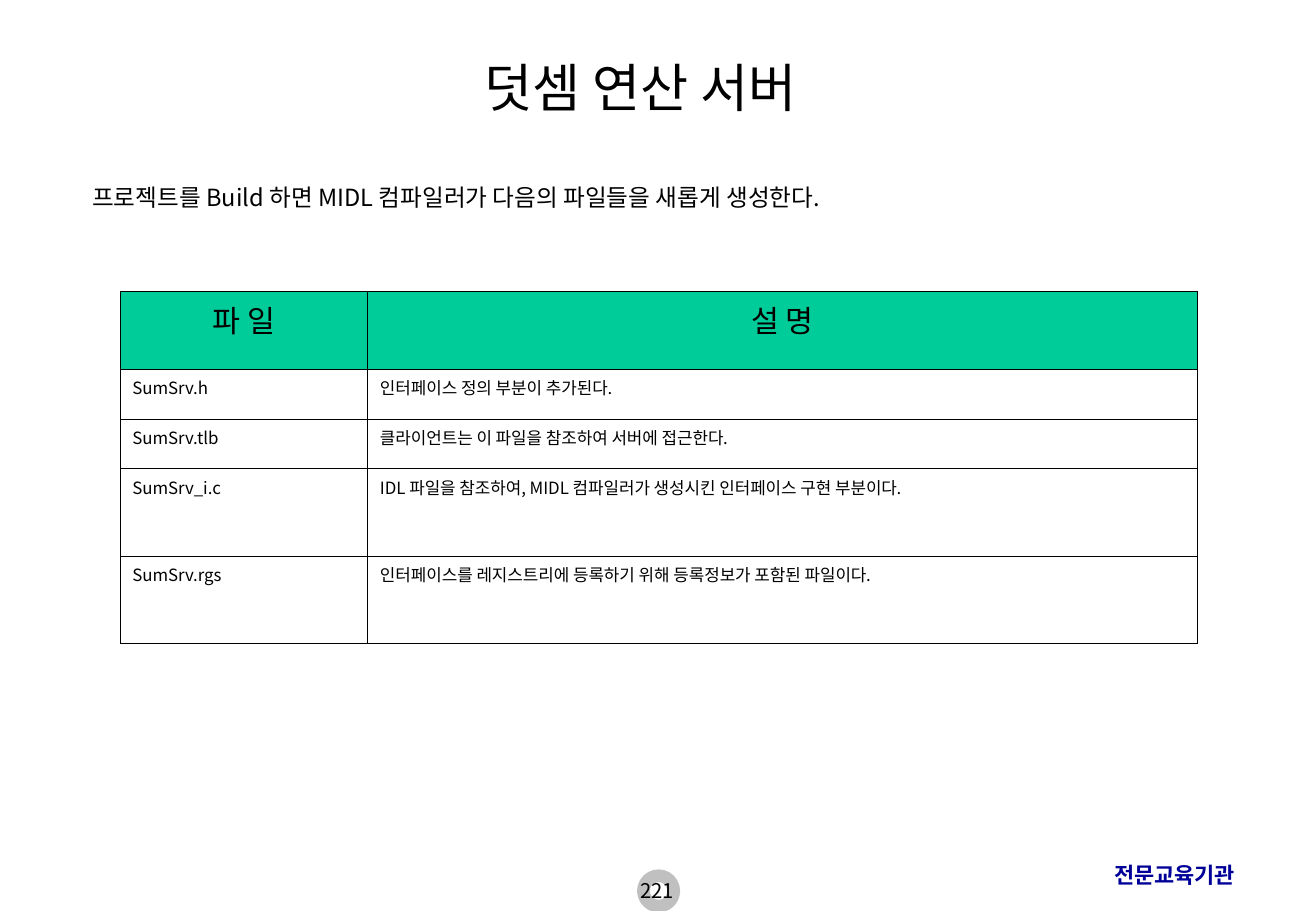
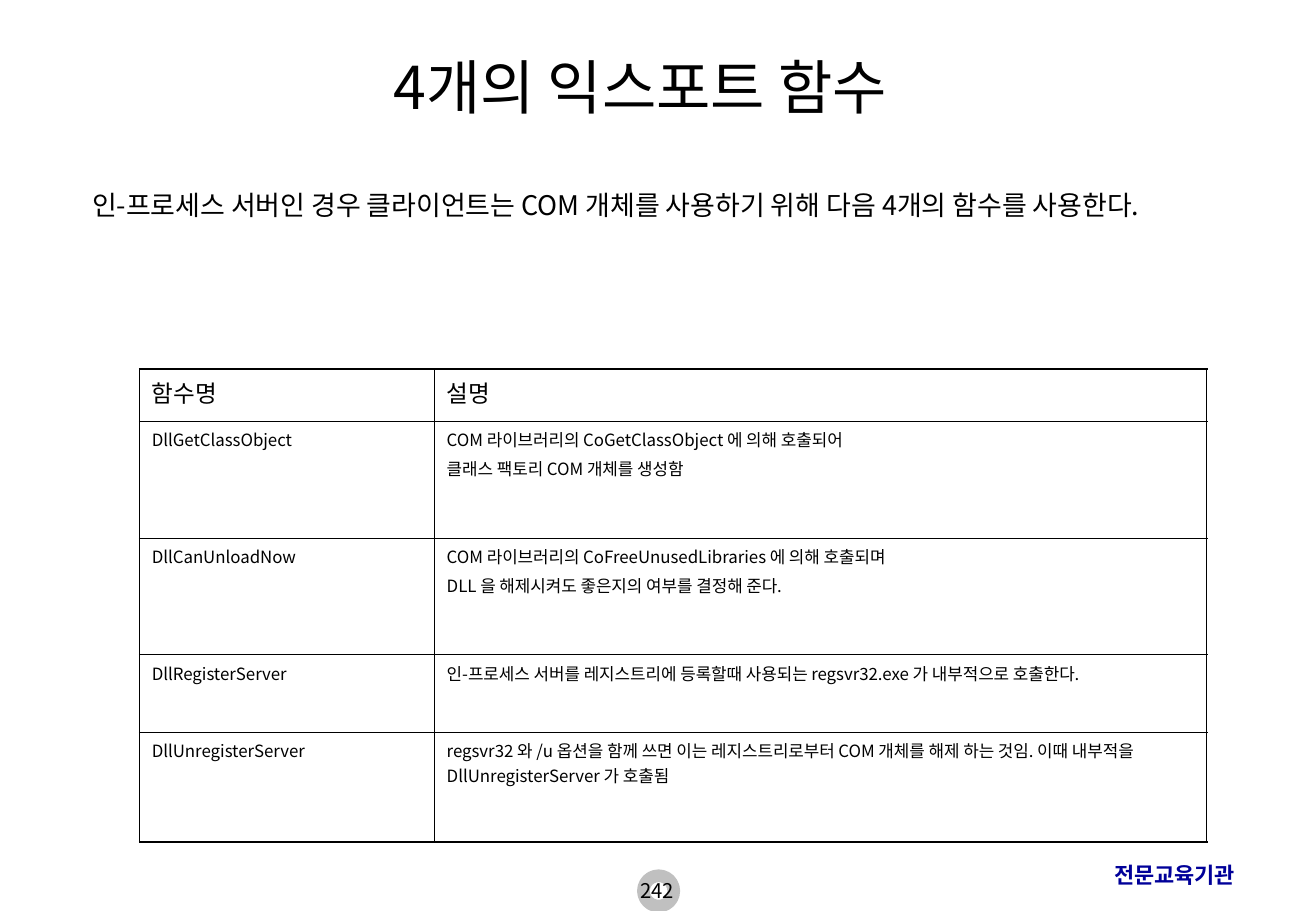
from lxml.etree import SubElement
from pptx import Presentation
from pptx.dml.color import RGBColor
from pptx.enum.shapes import MSO_SHAPE
from pptx.enum.text import MSO_ANCHOR, PP_ALIGN
from pptx.oxml import parse_xml
from pptx.oxml.ns import nsdecls, qn
from pptx.util import Pt

PX = 9144
WIDTH, HEIGHT = 1084, 750
FONT = "Noto Sans CJK KR"
FOOTER_FONT = "Arial"
BLACK = RGBColor(0x00, 0x00, 0x00)
WHITE = RGBColor(0xFF, 0xFF, 0xFF)
GREY = RGBColor(0xC0, 0xC0, 0xC0)
NAVY = RGBColor(0x00, 0x00, 0x99)
GREEN = RGBColor(0x00, 0xCC, 0x99)
THIN, THICK = 0.45, 1.08
CELL_SIZE, CELL_GAP = 10, 2.5
HANG = 38

TITLE_BOX = (67, 17, 921, 108)
BADGE_BOX = (530, 721, 25, 25)
NUMBER_BOX = (415, 718, 253, 32)
FOOTER_BOX = (908, 704, 154, 32)


def emu(*lengths):
    return [length * PX for length in lengths]


def write(tf, text, size, align=PP_ALIGN.LEFT, color=BLACK, font=FONT, bold=False):
    tf.text = text
    for i, p in enumerate(tf.paragraphs):
        p.alignment = align
        if i:
            p.space_before = Pt(CELL_GAP)
        for r in p.runs:
            r.font.size = Pt(size)
            r.font.bold = bold
            r.font.color.rgb = color
            r.font.name = font
            SubElement(r.font._element, qn("a:ea"), typeface=font)


def add_text(s, box, text, size, anchor=MSO_ANCHOR.TOP, **style):
    tf = s.shapes.add_textbox(*emu(*box)).text_frame
    tf.word_wrap = True
    tf.vertical_anchor = anchor
    write(tf, text, size, **style)
    return tf


def add_footer(s):
    sp = s.shapes.add_shape(MSO_SHAPE.OVAL, *emu(*BADGE_BOX))
    sp.shadow.inherit = False
    sp.fill.solid()
    sp.fill.fore_color.rgb = WHITE
    sp.line.color.rgb = GREY
    sp.line.width = Pt(7.5)
    add_text(s, FOOTER_BOX, "전문교육기관", 13, color=NAVY, font=FOOTER_FONT, bold=True)


def add_lead(s, box, text, size, spacing):
    p = add_text(s, box, text, size).paragraphs[0]
    p.line_spacing = spacing
    pPr = p._p.get_or_add_pPr()
    pPr.set("marL", str(HANG * PX))
    pPr.set("indent", str(-HANG * PX))


def set_borders(cell, widths):
    tcPr = cell._tc.get_or_add_tcPr()
    for i, (side, width) in enumerate(zip("LRTB", widths)):
        tcPr.insert(i, parse_xml(
            f'<a:ln{side} {nsdecls("a")} w="{Pt(width)}"><a:solidFill>'
            f'<a:srgbClr val="{BLACK}"/></a:solidFill></a:ln{side}>'))


def add_grid(s, left, top, cols, heights, rows, head_size, head_align, head_fill, frame):
    table = s.shapes.add_table(
        len(rows), len(cols), *emu(left, top, sum(cols), sum(heights))).table
    table.first_row = table.horz_banding = False
    for col, width in zip(table.columns, cols):
        col.width = width * PX
    for row, height in zip(table.rows, heights):
        row.height = height * PX
    last_row, last_col = len(rows) - 1, len(cols) - 1
    for i, texts in enumerate(rows):
        for j, text in enumerate(texts):
            cell = table.cell(i, j)
            if i == 0:
                write(cell.text_frame, text, head_size, head_align)
            else:
                write(cell.text_frame, text, CELL_SIZE)
            if i == 0 and head_fill is not None:
                cell.fill.solid()
                cell.fill.fore_color.rgb = head_fill
            else:
                cell.fill.background()
            edges = (j == 0, j == last_col, i == 0, i == last_row)
            set_borders(cell, [frame if edge else THIN for edge in edges])


def add_table_slide(prs, title, title_size, lead, grid, number):
    s = prs.slides.add_slide(prs.slide_layouts[6])
    add_footer(s)
    add_text(s, TITLE_BOX, title, title_size, MSO_ANCHOR.MIDDLE, align=PP_ALIGN.CENTER)
    add_lead(s, **lead)
    add_grid(s, **grid)
    add_text(s, NUMBER_BOX, number, 12, align=PP_ALIGN.CENTER)


FILES = [
    ("파 일", "설 명"),
    ("SumSrv.h", "인터페이스 정의 부분이 추가된다."),
    ("SumSrv.tlb", "클라이언트는 이 파일을 참조하여 서버에 접근한다."),
    ("SumSrv_i.c", "IDL 파일을 참조하여, MIDL 컴파일러가 생성시킨 인터페이스 구현 부분이다."),
    ("SumSrv.rgs", "인터페이스를 레지스트리에 등록하기 위해 등록정보가 포함된 파일이다."),
]
FUNCTIONS = [
    ("함수명", "설명"),
    ("DllGetClassObject",
     "COM 라이브러리의 CoGetClassObject 에 의해 호출되어\n클래스 팩토리 COM 개체를 생성함"),
    ("DllCanUnloadNow",
     "COM 라이브러리의 CoFreeUnusedLibraries 에 의해 호출되며\n"
     "DLL 을 해제시켜도 좋은지의 여부를 결정해 준다."),
    ("DllRegisterServer",
     "인-프로세스 서버를 레지스트리에 등록할때 사용되는 regsvr32.exe 가 내부적으로 호출한다."),
    ("DllUnregisterServer",
     "regsvr32 와 /u 옵션을 함께 쓰면 이는 레지스트리로부터 COM 개체를 해제 하는 것임. "
     "이때 내부적을 DllUnregisterServer 가 호출됨"),
]


def main():
    prs = Presentation()
    prs.slide_width, prs.slide_height = emu(WIDTH, HEIGHT)
    add_table_slide(
        prs, "덧셈 연산 서버", 31,
        dict(box=(66, 150, 921, 73), size=14, spacing=0.8,
             text="프로젝트를 Build 하면 MIDL 컴파일러가 다음의 파일들을 새롭게 생성한다."),
        dict(left=99, top=240, cols=(204, 683), heights=(64, 41, 41, 72, 72), rows=FILES,
             head_size=18, head_align=PP_ALIGN.CENTER, head_fill=GREEN, frame=THIN),
        "221")
    add_table_slide(
        prs, "4개의 익스포트 함수", 35,
        dict(box=(66, 150, 921, 108), size=16, spacing=1.0,
             text="인-프로세스 서버인 경우 클라이언트는 COM 개체를 사용하기 위해 "
                  "다음 4개의 함수를 사용한다."),
        dict(left=115, top=304, cols=(243, 636), heights=(43, 96, 96, 64, 90), rows=FUNCTIONS,
             head_size=14, head_align=PP_ALIGN.LEFT, head_fill=None, frame=THICK),
        "242")
    prs.save("out.pptx")


if __name__ == "__main__":
    main()
